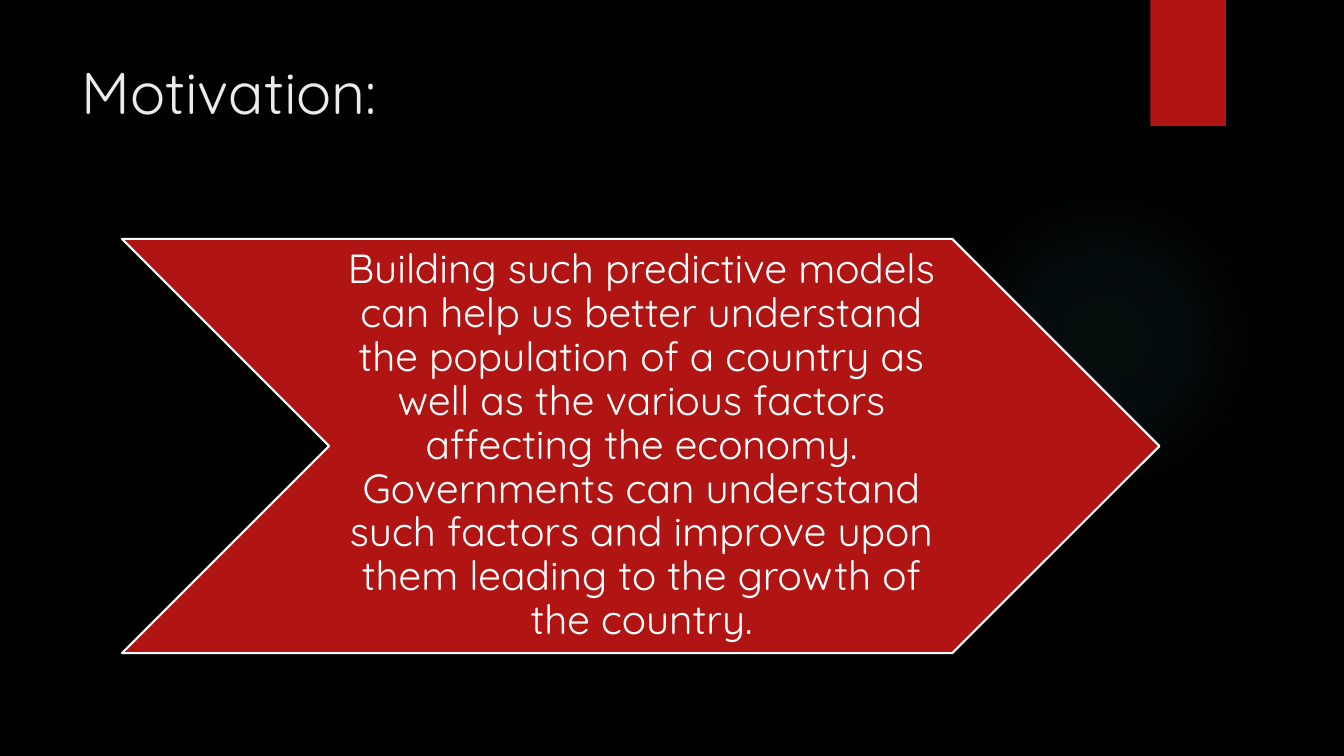
from lxml import etree
from pptx import Presentation
from pptx.dml.color import RGBColor
from pptx.enum.shapes import MSO_SHAPE as Shape
from pptx.enum.text import MSO_ANCHOR as Anchor, PP_ALIGN as Align
from pptx.oxml import parse_xml
from pptx.oxml.ns import nsdecls, qn
from pptx.util import Inches, Pt

BLACK = RGBColor(0x00, 0x00, 0x00)
RED = RGBColor(0xB0, 0x15, 0x13)
WHITE = RGBColor(0xFF, 0xFF, 0xFF)
PALE_GREY = RGBColor(0xEB, 0xEB, 0xEB)
TEAL = RGBColor(0x50, 0xB9, 0xC1)
GLOW_STOPS = [(0, 7), (36, 6), (69, 0)]  # position and opacity, percent


def add_filled_shape(kind, left, top, width, height):
    shape = slide.shapes.add_shape(
        kind, Inches(left), Inches(top), Inches(width), Inches(height))
    shape.shadow.inherit = False
    shape.fill.solid()
    shape.fill.fore_color.rgb = RED
    shape.line.fill.background()
    return shape


def add_text(words, box, size, color, margins, anchor, **paragraph_format):
    text_box = slide.shapes.add_textbox(*[Inches(length) for length in box])
    frame = text_box.text_frame
    frame.word_wrap = True
    frame.vertical_anchor = anchor
    for side, margin in zip(("left", "top", "right", "bottom"), margins):
        setattr(frame, f"margin_{side}", Inches(margin))
    paragraph = frame.paragraphs[0]
    for name, value in paragraph_format.items():
        setattr(paragraph, name, value)
    run = paragraph.add_run()
    run.text = words
    run.font.name = "Quicksand"
    run.font.size = Pt(size)
    run.font.color.rgb = color


presentation = Presentation()
presentation.slide_width = Inches(13.33)
presentation.slide_height = Inches(7.5)
slide = presentation.slides.add_slide(presentation.slide_layouts[6])
slide.background.fill.solid()
slide.background.fill.fore_color.rgb = BLACK

# Faint round glow behind the arrow
glow = add_filled_shape(Shape.OVAL, 9.41, 1.83, 3.08, 3.08)
stops = "".join(
    f'<a:gs pos="{position * 1000}"><a:srgbClr val="{TEAL}">'
    f'<a:alpha val="{opacity * 1000}"/></a:srgbClr></a:gs>'
    for position, opacity in GLOW_STOPS)
gradient = parse_xml(
    f'<a:gradFill {nsdecls("a")}><a:gsLst>{stops}</a:gsLst><a:path path="circle">'
    '<a:fillToRect l="50000" t="50000" r="50000" b="50000"/></a:path></a:gradFill>')
properties = glow.element.spPr
properties.replace(properties.find(qn("a:solidFill")), gradient)

# Red tab at the top edge, with a soft shadow below it
tab = add_filled_shape(Shape.RECTANGLE, 11.41, 0, 0.75, 1.25)
shadow = etree.SubElement(
    tab.element.spPr.find(qn("a:effectLst")), qn("a:outerShdw"),
    blurRad=str(Pt(3)), dist=str(Pt(2)), dir=str(90 * 60000))
shadow_color = etree.SubElement(shadow, qn("a:srgbClr"), val=str(BLACK))
etree.SubElement(shadow_color, qn("a:alpha"), val="45000")

add_text("Motivation:", (0.71, 0.5, 10.29, 1.53), 42, PALE_GREY,
         (0.1, 0.05, 0.1, 0.05), Anchor.TOP)

arrow = add_filled_shape(Shape.CHEVRON, 1.21, 2.37, 10.29, 4.11)
arrow.line.color.rgb = WHITE
arrow.line.width = Pt(1.5)

add_text("Building such predictive models can help us better understand the "
         "population of a country as well as the various factors affecting the "
         "economy. Governments can understand such factors and improve upon "
         "them leading to the growth of the country.",
         (3.26, 2.37, 6.17, 4.11), 29, WHITE, (0.04, 0.02, 0, 0.02), Anchor.MIDDLE,
         alignment=Align.CENTER, line_spacing=0.9)

presentation.save("out.pptx")
